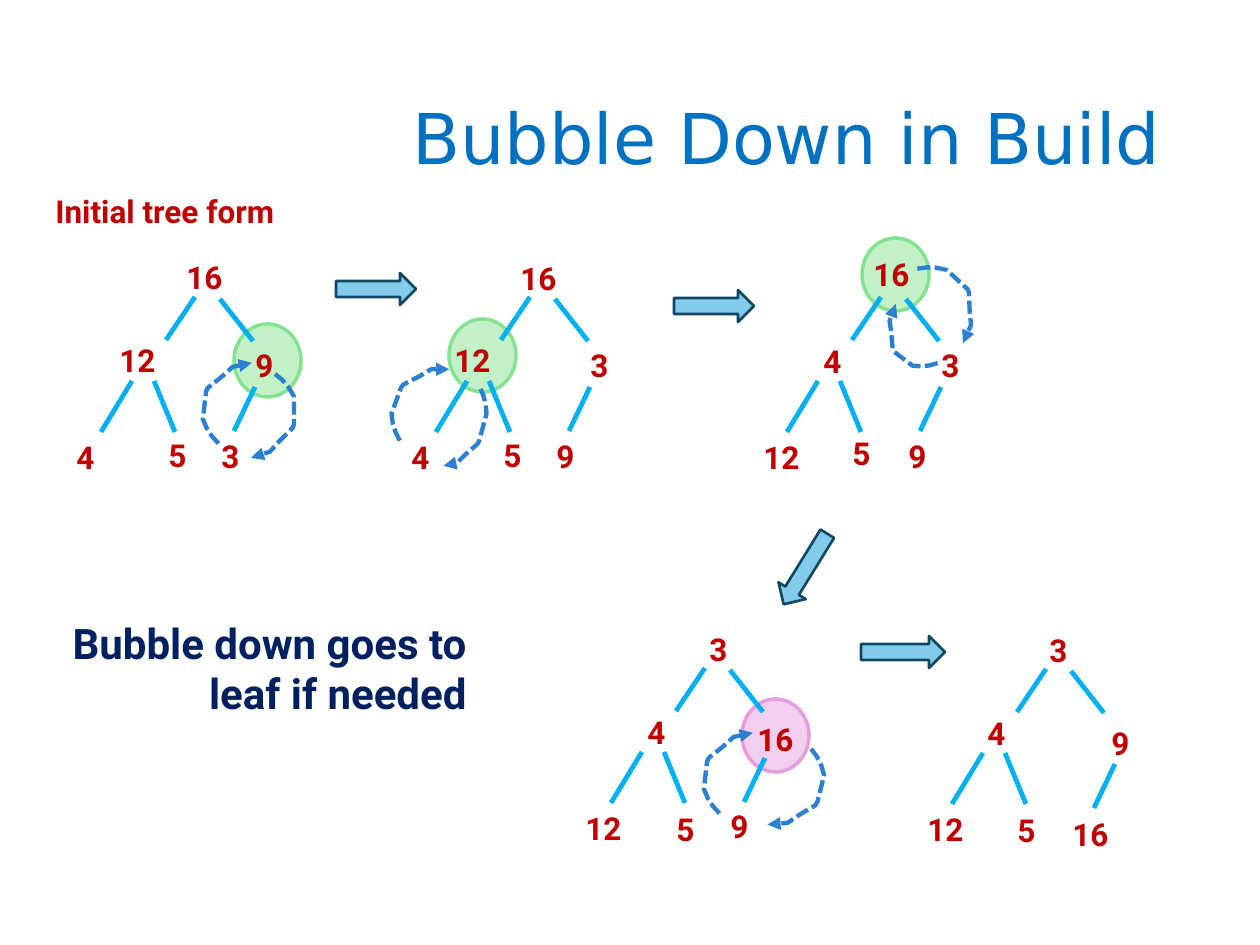
from dataclasses import dataclass

from pptx import Presentation
from pptx import util as u
from pptx.dml.color import RGBColor
from pptx.enum import dml, shapes, text
from pptx.oxml import ns
from lxml import etree

PX = 914400 / 126
COLORS = {
    "title": "0070C0", "label": "C00000", "caption": "002060", "edge": "00B0F0",
    "arrow": "83CBEB", "arrow_line": "104862", "swap": "2D7FCF",
    "green": "C2F1C8", "green_line": "84E291", "pink": "F2CFEE", "pink_line": "E59EDD",
}
EDGES = [
    (195, 297, 166, 340), (220, 299, 253, 341),
    (132, 381, 101, 432), (154, 381, 175, 432), (255, 387, 234, 431),
]
SWAP_CURVE = [
    (19, 0), (25, 5), (30, 11), (34, 18), (34, 22), (34, 40), (33, 43), (30, 46),
    (26, 50), (22, 54), (15, 62), (9, 64), (7, 65), (4, 67), (0, 67),
]


@dataclass
class Label:
    text: str
    left: int
    top: int
    width: int
    height: int = 50
    size: int = 18
    color: str = "label"
    align: text.PP_ALIGN = text.PP_ALIGN.LEFT


@dataclass
class Tree:
    dx: int
    dy: int
    nodes: list[Label]
    last_edge_shift: tuple[int, int] = (0, 0)


@dataclass
class Box:
    left: int
    top: int
    width: int
    height: int
    rotation: float = 0
    color: str = "green"


HIGHLIGHTS = [
    Box(742, 699, 67, 73, color="pink"), Box(862, 238, 67, 73),
    Box(449, 319, 67, 73), Box(234, 324, 67, 73),
]
BLOCK_ARROWS = [
    Box(336, 273, 80, 32), Box(674, 290, 80, 32),
    Box(764, 553, 83, 32, 121.7), Box(861, 636, 84, 32),
]
SWAPS = [
    Box(251, 374, 43, 84), Box(205, 360, 42, 84, 186.8),
    Box(454, 387, 28, 84, 15.2), Box(397, 360, 39, 84, 200.2),
    Box(925, 257, 43, 84, 312.6), Box(892, 306, 39, 69, 127.2),
    Box(777, 747, 43, 84, 14), Box(706, 730, 42, 84, 186.8),
]
TREES = [
    Tree(0, 0, [
        Label("16", 174, 252, 76), Label("12", 107, 335, 69), Label("9", 243, 340, 53),
        Label("4", 64, 432, 58), Label("5", 156, 430, 52), Label("3", 209, 431, 52)]),
    Tree(335, 0, [
        Label("16", 508, 253, 67), Label("12", 442, 335, 69), Label("3", 578, 340, 53),
        Label("4", 399, 432, 58), Label("5", 491, 430, 52), Label("9", 544, 431, 52)]),
    Tree(686, 0, [
        Label("16", 861, 249, 67), Label("4", 811, 336, 48), Label("3", 929, 340, 53),
        Label("12", 751, 432, 68), Label("5", 840, 428, 54), Label("9", 896, 431, 52)]),
    Tree(510, 371, [
        Label("3", 697, 624, 53), Label("4", 635, 707, 48), Label("16", 745, 714, 71),
        Label("12", 573, 803, 68), Label("5", 664, 804, 54), Label("9", 718, 801, 52)]),
    Tree(851, 372, [
        Label("3", 1037, 625, 53), Label("4", 975, 708, 48), Label("9", 1099, 718, 59),
        Label("12", 915, 804, 68), Label("5", 1005, 805, 54), Label("16", 1060, 809, 73)],
        (9, 5)),
]
CAPTIONS = [
    Label("Initial tree form", 43, 186, 273),
    Label("Bubble down goes to leaf if needed", 35, 611, 444, 115, 24, "caption",
          text.PP_ALIGN.RIGHT),
]


def px(*values: float) -> list[int]:
    return [round(value * PX) for value in values]


def rgb(name: str) -> RGBColor:
    return RGBColor.from_string(COLORS[name])


def style_line(line, color: str, width: float) -> None:
    line.color.rgb = rgb(color)
    line.width = u.Pt(width)


def style_text(paragraph, font: str, size: int, color: str, bold: bool) -> None:
    for run in paragraph.runs:
        run.font.name = font
        run.font.size = u.Pt(size)
        run.font.bold = bold
        run.font.color.rgb = rgb(color)


def draw_title(slide) -> None:
    title = slide.shapes.title
    title.left, title.top, title.width, title.height = px(87, 50, 1086, 183)
    title.text_frame.text = "Bubble Down in Build"
    title.text_frame.vertical_anchor = text.MSO_ANCHOR.MIDDLE
    paragraph = title.text_frame.paragraphs[0]
    paragraph.alignment = text.PP_ALIGN.RIGHT
    paragraph.line_spacing = 0.9
    style_text(paragraph, "DejaVu Sans", 40, "title", False)


def draw_label(container, label: Label) -> None:
    shape = container.add_textbox(*px(label.left, label.top, label.width, label.height))
    shape.text_frame.word_wrap = True
    shape.text_frame.text = label.text
    paragraph = shape.text_frame.paragraphs[0]
    paragraph.alignment = label.align
    style_text(paragraph, "Roboto", label.size, label.color, True)


def draw_tree(slide, tree: Tree) -> None:
    group = slide.shapes.add_group_shape()
    for edge in EDGES:
        shift_x, shift_y = tree.last_edge_shift if edge == EDGES[-1] else (0, 0)
        dx, dy = tree.dx + shift_x, tree.dy + shift_y
        x1, y1, x2, y2 = edge
        connector = group.shapes.add_connector(
            shapes.MSO_CONNECTOR.STRAIGHT, *px(x1 + dx, y1 + dy, x2 + dx, y2 + dy))
        style_line(connector.line, "edge", 2.75)
        etree.SubElement(connector.element.spPr, ns.qn("a:effectLst"))
    for node in tree.nodes:
        draw_label(group.shapes, node)


def draw_preset(slide, kind: shapes.MSO_SHAPE, box: Box, color: str, width: float) -> None:
    shape = slide.shapes.add_shape(kind, *px(box.left, box.top, box.width, box.height))
    shape.rotation = box.rotation
    shape.shadow.inherit = False
    shape.fill.solid()
    shape.fill.fore_color.rgb = rgb(color)
    style_line(shape.line, color + "_line", width)


def draw_swap(slide, box: Box) -> None:
    builder = slide.shapes.build_freeform(*SWAP_CURVE[0], scale=u.Inches(0.01))
    builder.add_line_segments(SWAP_CURVE[1:], close=False)
    shape = builder.convert_to_shape()
    shape.left, shape.top, shape.width, shape.height = px(
        box.left, box.top, box.width, box.height)
    shape.rotation = box.rotation
    shape.shadow.inherit = False
    shape.fill.background()
    style_line(shape.line, "swap", 2.5)
    shape.line.dash_style = dml.MSO_LINE.SQUARE_DOT
    outline = shape.element.spPr.find(ns.qn("a:ln"))
    etree.SubElement(outline, ns.qn("a:tailEnd")).set("type", "triangle")


def main() -> None:
    presentation = Presentation()
    presentation.slide_width, presentation.slide_height = px(1260, 945)
    slide = presentation.slides.add_slide(presentation.slide_layouts[5])
    for box in HIGHLIGHTS:
        draw_preset(slide, shapes.MSO_SHAPE.OVAL, box, box.color, 2)
    draw_title(slide)
    for tree in TREES:
        draw_tree(slide, tree)
    for caption in CAPTIONS:
        draw_label(slide.shapes, caption)
    for box in BLOCK_ARROWS:
        draw_preset(slide, shapes.MSO_SHAPE.RIGHT_ARROW, box, "arrow", 1.5)
    for box in SWAPS:
        draw_swap(slide, box)
    presentation.save("out.pptx")


if __name__ == "__main__":
    main()
